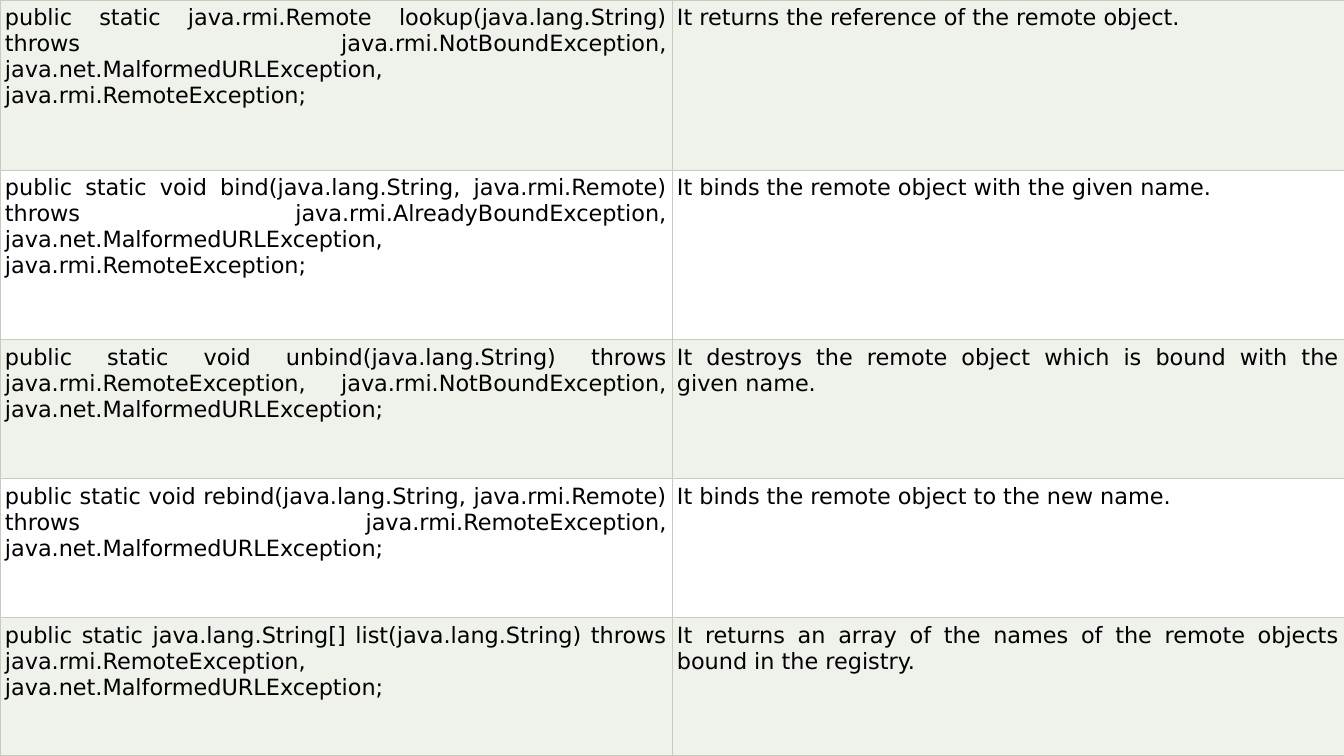
from dataclasses import dataclass

from lxml import etree
from pptx import Presentation
from pptx import util as u
from pptx.dml.color import RGBColor
from pptx.enum import text
from pptx.oxml import ns

PX = 914400 / 100.8
SLIDE_SIZE = (1344, 756)


@dataclass(frozen=True)
class Theme:
    font: str = "DejaVu Sans"
    size: int = 16
    ink: str = "000000"
    bands: tuple = ("EFF1EB", "FFFFFF")
    border: str = "C7CCBE"
    border_width: float = 0.75
    inset: int = 5


THEME = Theme()

ROW_HEIGHTS = (170, 170, 139, 139, 138)
REGISTRY_METHODS = (
    ("public static java.rmi.Remote lookup(java.lang.String) throws "
     "java.rmi.NotBoundException, java.net.MalformedURLException, "
     "java.rmi.RemoteException;",
     "It returns the reference of the remote object."),
    ("public static void bind(java.lang.String, java.rmi.Remote) throws "
     "java.rmi.AlreadyBoundException, java.net.MalformedURLException, "
     "java.rmi.RemoteException;",
     "It binds the remote object with the given name."),
    ("public static void unbind(java.lang.String) throws "
     "java.rmi.RemoteException, java.rmi.NotBoundException, "
     "java.net.MalformedURLException;",
     "It destroys the remote object which is bound with the given name."),
    ("public static void rebind(java.lang.String, java.rmi.Remote) throws "
     "java.rmi.RemoteException, java.net.MalformedURLException;",
     "It binds the remote object to the new name."),
    ("public static java.lang.String[] list(java.lang.String) throws "
     "java.rmi.RemoteException, java.net.MalformedURLException;",
     "It returns an array of the names of the remote objects bound in the "
     "registry."),
)


def px(length):
    return u.Emu(round(length * PX))


def set_borders(cell):
    properties = cell._tc.get_or_add_tcPr()
    for index, side in enumerate(("lnL", "lnR", "lnT", "lnB")):
        line = etree.Element(ns.qn(f"a:{side}"), w=str(u.Pt(THEME.border_width)))
        fill = etree.SubElement(line, ns.qn("a:solidFill"))
        etree.SubElement(fill, ns.qn("a:srgbClr"), val=THEME.border)
        properties.insert(index, line)


def format_cell(cell, wording, band):
    cell.text = wording
    cell.margin_left = cell.margin_right = px(THEME.inset)
    cell.margin_top = cell.margin_bottom = px(THEME.inset)
    cell.vertical_anchor = text.MSO_ANCHOR.TOP
    cell.fill.solid()
    cell.fill.fore_color.rgb = RGBColor.from_string(band)
    set_borders(cell)
    paragraph = cell.text_frame.paragraphs[0]
    paragraph.alignment = text.PP_ALIGN.JUSTIFY
    paragraph.font.name = THEME.font
    paragraph.font.size = u.Pt(THEME.size)
    paragraph.font.bold = False
    paragraph.font.color.rgb = RGBColor.from_string(THEME.ink)


def add_methods_table(slide, left, top, width, height):
    columns = len(REGISTRY_METHODS[0])
    methods = slide.shapes.add_table(
        len(REGISTRY_METHODS), columns,
        px(left), px(top), px(width), px(height)).table
    methods.first_row = methods.horz_banding = False
    for column in methods.columns:
        column.width = px(width / columns)
    for index, wordings in enumerate(REGISTRY_METHODS):
        methods.rows[index].height = px(height * ROW_HEIGHTS[index] / sum(ROW_HEIGHTS))
        band = THEME.bands[index % len(THEME.bands)]
        for cell, wording in zip(methods.rows[index].cells, wordings):
            format_cell(cell, wording, band)


def main():
    deck = Presentation()
    deck.slide_width, deck.slide_height = map(px, SLIDE_SIZE)
    slide = deck.slides.add_slide(deck.slide_layouts.get_by_name("Blank"))
    add_methods_table(slide, 0, 0, *SLIDE_SIZE)
    deck.save("out.pptx")


if __name__ == "__main__":
    main()
